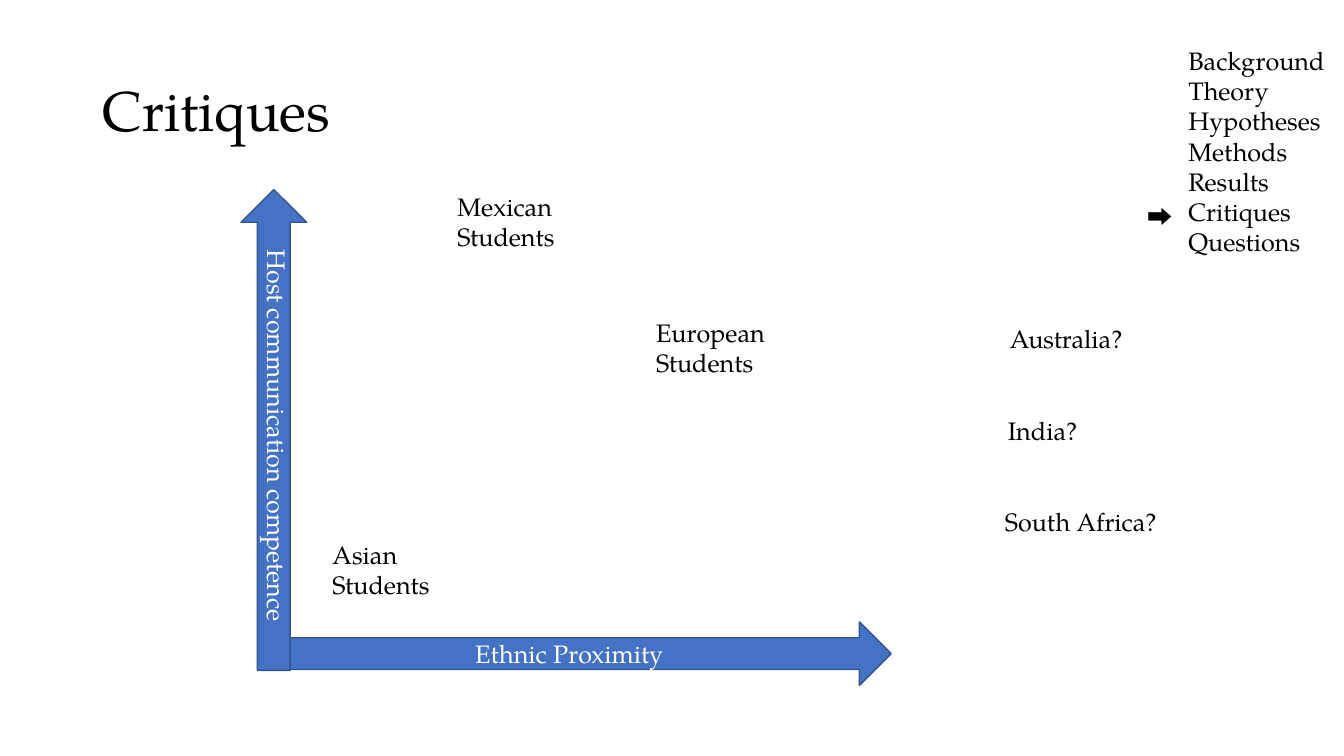
from dataclasses import dataclass

from lxml import etree
from pptx import Presentation
from pptx import util as u
from pptx.dml.color import RGBColor
from pptx.enum import shapes, text
from pptx.oxml.ns import qn


@dataclass(frozen=True)
class Theme:
    ink: RGBColor = RGBColor(0, 0, 0)
    paper: RGBColor = RGBColor(255, 255, 255)
    arrow: RGBColor = RGBColor(0x44, 0x72, 0xC4)
    edge: RGBColor = RGBColor(0x32, 0x54, 0x91)
    font: str = "TeX Gyre Pagella"
    symbol_font: str = "Noto Sans CJK SC"
    title: int = 40
    body: int = 18


theme = Theme()
deck = Presentation()
deck.slide_width, deck.slide_height = u.Inches(13.333), u.Inches(7.5)
page = deck.slides.add_slide(deck.slide_layouts[5])


def area(left, top, width, height):
    """Turn percentages of the slide's size into lengths."""
    across, down = deck.slide_width / 100, deck.slide_height / 100
    return [u.Emu(round(share * unit)) for share, unit in
            ((left, across), (top, down), (width, across), (height, down))]


def write(box, words, color=theme.ink, size=theme.body, font=theme.font):
    box.text_frame.text = words
    for para in box.text_frame.paragraphs:
        for span in para.runs:
            span.font.size = u.Pt(size)
            span.font.name = font
            span.font.color.rgb = color
            east_asian = etree.SubElement(span.font._element, qn("a:ea"))
            east_asian.set("typeface", font)


title = page.shapes.title
title.left, title.top, title.width, title.height = area(6.9, 5.33, 86.25, 19.33)
write(title, "Critiques", size=theme.title)
title.text_frame.vertical_anchor = text.MSO_ANCHOR.MIDDLE
title.text_frame.auto_size = text.MSO_AUTO_SIZE.NONE
title.text_frame.paragraphs[0].alignment = text.PP_ALIGN.LEFT
title.text_frame.paragraphs[0].line_spacing = 0.9

# Axes of the diagram
axes = [
    (shapes.MSO_SHAPE.RIGHT_ARROW, (19.58, 82.27, 46.73, 8.4), "Ethnic Proximity"),
    (shapes.MSO_SHAPE.UP_ARROW, (17.93, 25.07, 4.88, 63.6), ""),
]
for kind, place, words in axes:
    axis = page.shapes.add_shape(kind, *area(*place))
    axis.shadow.inherit = False
    axis.fill.solid()
    axis.fill.fore_color.rgb = theme.arrow
    axis.line.color.rgb = theme.edge
    axis.line.width = u.Pt(1)
    axis.text_frame.vertical_anchor = text.MSO_ANCHOR.MIDDLE
    write(axis, words, theme.paper)
    axis.text_frame.paragraphs[0].alignment = text.PP_ALIGN.CENTER

# Agenda, its marker, the vertical axis label, student groups and open cases
one_line, two_lines, agenda_height = 5.33, 9.47, 29.6
group_width = 11.18
agenda = "Background\nTheory\nHypotheses\nMethods\nResults\nCritiques\nQuestions"
labels = [
    (agenda, (87.68, 5.33, 13.5, agenda_height), {}),
    ("➡️", (84.68, 26, 8.48, one_line), {"font": theme.symbol_font}),
    ("Host communication competence", (-1.28, 68, 43.88, one_line),
     {"color": theme.paper}),
    ("European\nStudents", (48.08, 41.33, group_width, two_lines), {}),
    ("Asian\nStudents", (24, 70.67, group_width, two_lines), {}),
    ("Mexican\nStudents", (33.3, 24.67, group_width, two_lines), {}),
    ("Australia?", (74.4, 42.13, group_width, one_line), {}),
    ("India?", (74.25, 54.27, group_width, one_line), {}),
    ("South Africa?", (74.03, 66.27, 14.93, one_line), {}),
]
for words, place, style in labels:
    box = page.shapes.add_textbox(*area(*place))
    box.text_frame.word_wrap = True
    box.text_frame.auto_size = text.MSO_AUTO_SIZE.SHAPE_TO_FIT_TEXT
    write(box, words, **style)
    if words.startswith("Host"):
        box.rotation = 90

deck.save("out.pptx")
